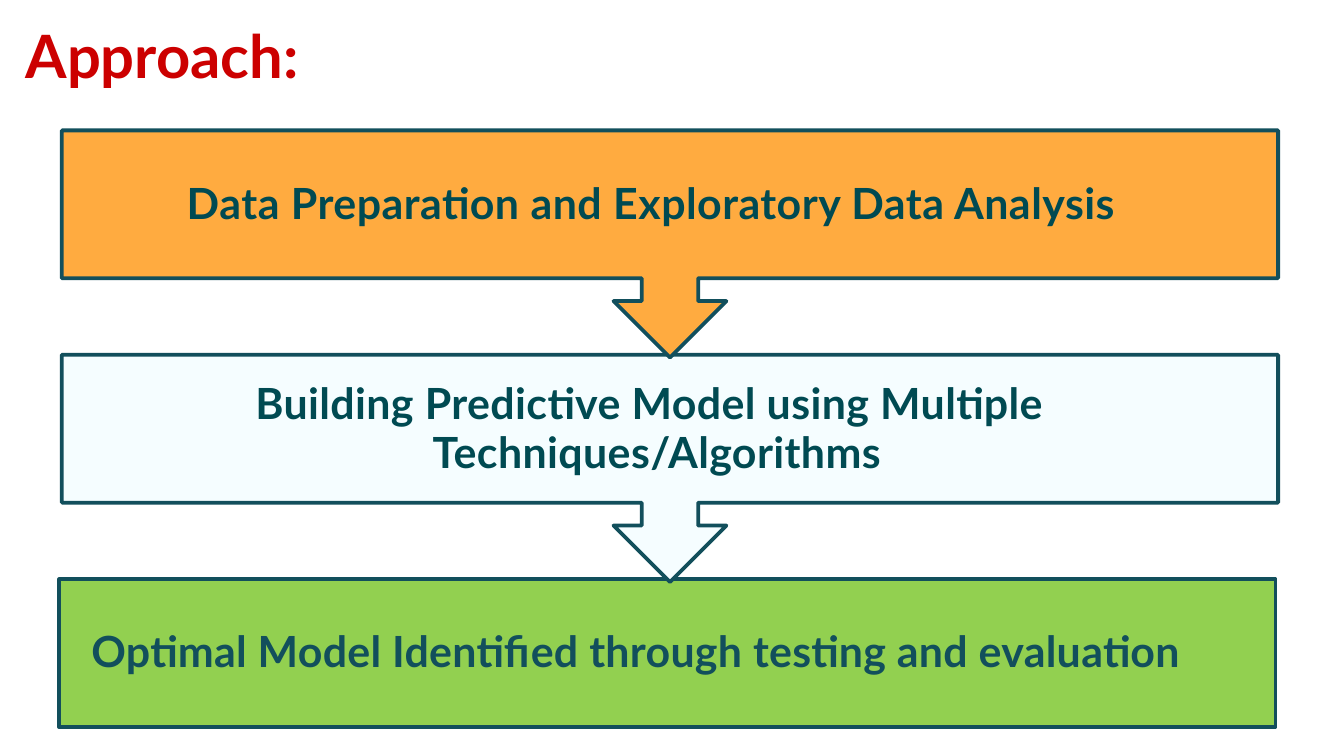
from dataclasses import dataclass

from pptx import Presentation
from pptx.dml.color import RGBColor
from pptx.enum.shapes import MSO_SHAPE as Shape
from pptx.enum.text import MSO_ANCHOR as Anchor, MSO_AUTO_SIZE as AutoSize, PP_ALIGN as Align
from pptx.util import Inches, Pt


@dataclass(frozen=True)
class Theme:
    font: str = "Lato"
    title_size: float = 32
    step_size: float = 23
    line_width: float = 2
    title: str = "CC0000"
    outline: str = "124F5C"
    text: str = "004A52"
    prepare: str = "FFAB40"
    build: str = "F5FDFF"
    evaluate: str = "92D050"


theme = Theme()


def format_run(run, size, color):
    run.font.name = theme.font
    run.font.size = Pt(size)
    run.font.bold = True
    run.font.color.rgb = RGBColor.from_string(color)


presentation = Presentation()
presentation.slide_width = Inches(10)
presentation.slide_height = Inches(10 * 9 / 16)
slide = presentation.slides.add_slide(presentation.slide_layouts[5])

title = slide.shapes.title
title.left, title.top = Inches(0.09), Inches(0.04)
title.width, title.height = Inches(7.31), Inches(0.82)
frame = title.text_frame
frame.text = "Approach:"
frame.auto_size = AutoSize.NONE
frame.vertical_anchor = Anchor.TOP
frame.margin_left = frame.margin_right = Inches(0.1)
frame.margin_top = frame.margin_bottom = Inches(0.1)
frame.paragraphs[0].alignment = Align.LEFT
format_run(frame.paragraphs[0].runs[0], theme.title_size, theme.title)

BOX_WIDTH, BOX_HEIGHT = 9.05, 1.1
CALLOUT_HEIGHT = 1.69
ARROW = 0.42 / CALLOUT_HEIGHT  # shaft width, half head width and head length
ADJUSTMENTS = (ARROW, ARROW, ARROW, BOX_HEIGHT / CALLOUT_HEIGHT)

# Bottom step first, so that each arrow tip overlaps the step below it.
# Shape kind, left, top, height, fill; text, its place, colour, margin, indent,
# top inset, letter spacing in hundredths of a point
steps = [
    (Shape.RECTANGLE, 0.44, 4.31, BOX_HEIGHT, theme.evaluate,
     "Optimal Model Identified through testing and evaluation",
     (0.48, 4.63, 9.02, 0.42), theme.outline, 0.2, 0, 0.02, 15),
    (Shape.DOWN_ARROW_CALLOUT, 0.46, 2.64, CALLOUT_HEIGHT, theme.build,
     "Building Predictive Model using Multiple Techniques/Algorithms",
     (1.88, 2.78, 6.2, 0.78), theme.text, 1.34, -1.32, 0.04, 20),
    (Shape.DOWN_ARROW_CALLOUT, 0.46, 0.97, CALLOUT_HEIGHT, theme.prepare,
     "Data Preparation and Exploratory Data Analysis",
     (1.38, 1.29, 7.2, 0.42), theme.text, 0.01, 0, 0.02, 25),
]

for (kind, left, top, height, fill, text, place, color,
     margin, indent, inset, spacing) in steps:
    box = slide.shapes.add_shape(
        kind, Inches(left), Inches(top), Inches(BOX_WIDTH), Inches(height))
    box.shadow.inherit = False
    box.fill.solid()
    box.fill.fore_color.rgb = RGBColor.from_string(fill)
    box.line.color.rgb = RGBColor.from_string(theme.outline)
    box.line.width = Pt(theme.line_width)
    if kind == Shape.DOWN_ARROW_CALLOUT:
        for index, value in enumerate(ADJUSTMENTS):
            box.adjustments[index] = value

    label = slide.shapes.add_textbox(*(Inches(length) for length in place))
    frame = label.text_frame
    frame.word_wrap = True
    frame.margin_left = frame.margin_right = frame.margin_bottom = 0
    frame.margin_top = Inches(inset)
    frame.text = text
    paragraph = frame.paragraphs[0]
    paragraph.space_before = Pt(1.3)
    if indent:
        paragraph.space_before = Pt(3.2)
        paragraph.line_spacing = Pt(26.3)
    properties = paragraph._p.get_or_add_pPr()
    properties.set("marL", str(Inches(margin)))
    properties.set("indent", str(Inches(indent)))
    run = paragraph.runs[0]
    format_run(run, theme.step_size, color)
    run.font._element.set("spc", str(spacing))

presentation.save("out.pptx")
